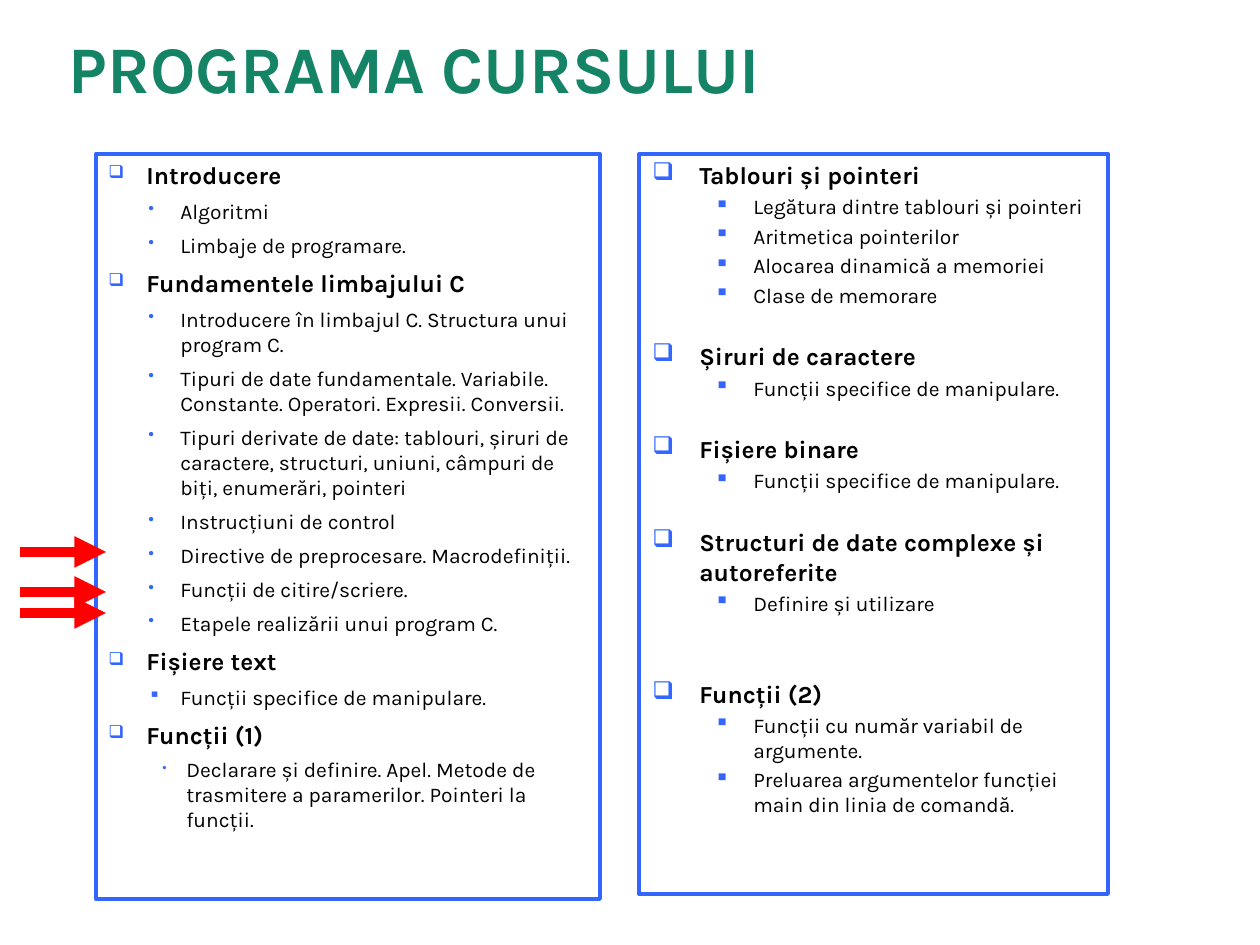
from pptx import Presentation
from pptx.dml.color import RGBColor
from pptx.enum.shapes import MSO_CONNECTOR, MSO_SHAPE
from pptx.enum.text import MSO_ANCHOR, PP_ALIGN
from pptx.oxml.ns import qn
from pptx.util import Emu, Pt
from lxml import etree

RECT = MSO_SHAPE.RECTANGLE
LINE = MSO_CONNECTOR.STRAIGHT
TOP, BOTTOM = MSO_ANCHOR.TOP, MSO_ANCHOR.BOTTOM
LEFT = PP_ALIGN.LEFT

GREEN = RGBColor(0x15, 0x84, 0x66)
BLUE = RGBColor(0x33, 0x66, 0xFF)
RED = RGBColor(0xFF, 0x00, 0x00)
BLACK = RGBColor(0x00, 0x00, 0x00)
FONT = "Karla"


def px(n):
    return Emu(round(n * 914400 / 126))


def write(frame, text, size=12, bold=False, color=BLACK, before=0,
          level=0, mark=None, left=0, hang=0, scale=100):
    """Add a paragraph, using the empty first one if it is still free."""
    para = frame.paragraphs[-1]
    if para.runs:
        para = frame.add_paragraph()
    para.alignment, para.level, para.space_before = LEFT, level, Pt(before)
    run = para.add_run()
    run.text = text
    font = run.font
    font.name, font.size, font.bold = FONT, Pt(size), bold
    font.color.rgb = color
    if mark:
        props = para._p.get_or_add_pPr()
        props.set("marL", str(px(left)))
        props.set("indent", str(-px(hang)))
        tint = etree.SubElement(props, qn("a:buClr"))
        etree.SubElement(tint, qn("a:srgbClr"), val=str(BLUE))
        etree.SubElement(props, qn("a:buSzPct"), val=str(scale * 1000))
        etree.SubElement(props, qn("a:buChar"), char=mark)


deck = Presentation()
deck.slide_width, deck.slide_height = px(1260), px(945)
slide = deck.slides.add_slide(deck.slide_layouts[6])
shapes = slide.shapes

# Title
title = shapes.add_textbox(px(63), px(8), px(1134), px(99)).text_frame
title.word_wrap = True
title.vertical_anchor = BOTTOM
title.margin_left = title.margin_right = px(6)
title.margin_top = title.margin_bottom = 0
write(title, "PROGRAMA CURSULUI", size=38, bold=True, color=GREEN)

# Paragraph styles: head and items of each column
head1 = dict(size=14, bold=True, before=6, mark="❑", left=38, hang=38, scale=73)
dot = dict(before=5, level=1, mark="•", left=72, hang=32, scale=80)
square = dict(dot, mark="▪")
small = dict(before=4, level=2, mark="•", left=78, hang=24, scale=60)
head2 = dict(size=14, bold=True, before=2.8, mark="❑", left=48, hang=47)
gap = dict(head2, before=19.5)
wide = dict(head2, before=36)
item = dict(before=2.4, level=1, mark="▪", left=102, hang=39)

# Topics: head style, head, item style, items
first = [
    (head1, "Introducere", dot, ["Algoritmi", "Limbaje de programare."]),
    (head1, "Fundamentele limbajului C", dot, [
        "Introducere în limbajul C. Structura unui program C.",
        "Tipuri de date fundamentale. Variabile. Constante. Operatori. "
        "Expresii. Conversii.",
        "Tipuri derivate de date: tablouri, șiruri de caractere, structuri, "
        "uniuni, câmpuri de biți, enumerări, pointeri",
        "Instrucțiuni de control",
        "Directive de preprocesare. Macrodefiniții.",
        "Funcții de citire/scriere.",
        "Etapele realizării unui program C."]),
    (head1, "Fișiere text", square, ["Funcții specifice de manipulare."]),
    (head1, "Funcții (1)", small, [
        "Declarare și definire. Apel. Metode de trasmitere a paramerilor. "
        "Pointeri la funcții."]),
]
second = [
    (head2, "Tablouri și pointeri", item, [
        "Legătura dintre tablouri și pointeri",
        "Aritmetica pointerilor",
        "Alocarea dinamică a memoriei",
        "Clase de memorare"]),
    (gap, "Șiruri de caractere", item, ["Funcții specifice de manipulare."]),
    (gap, "Fișiere binare", item, ["Funcții specifice de manipulare."]),
    (gap, "Structuri de date complexe și autoreferite", item,
     ["Definire și utilizare"]),
    (wide, "Funcții (2)", item, [
        "Funcții cu număr variabil de argumente.",
        "Preluarea argumentelor funcției main din linia de comandă."]),
]

# Framed columns
for x, w, h, topics in [(96, 504, 745, first), (639, 469, 740, second)]:
    box = shapes.add_shape(RECT, px(x), px(154), px(w), px(h))
    box.shadow.inherit = False
    box.fill.background()
    box.line.color.rgb = BLUE
    box.line.width = Pt(2.25)
    frame = box.text_frame
    frame.word_wrap = True
    frame.vertical_anchor = TOP
    for style, head, kind, items in topics:
        write(frame, head, **style)
        for text in items:
            write(frame, text, **kind)

# Red arrows
for y in (552, 592, 613):
    arrow = shapes.add_connector(LINE, px(20), px(y), px(106), px(y))
    arrow.line.color.rgb = RED
    arrow.line.width = Pt(6)
    etree.SubElement(arrow.line._get_or_add_ln(), qn("a:tailEnd"), type="triangle")
    etree.SubElement(arrow._element.spPr, qn("a:effectLst"))

deck.save("out.pptx")
